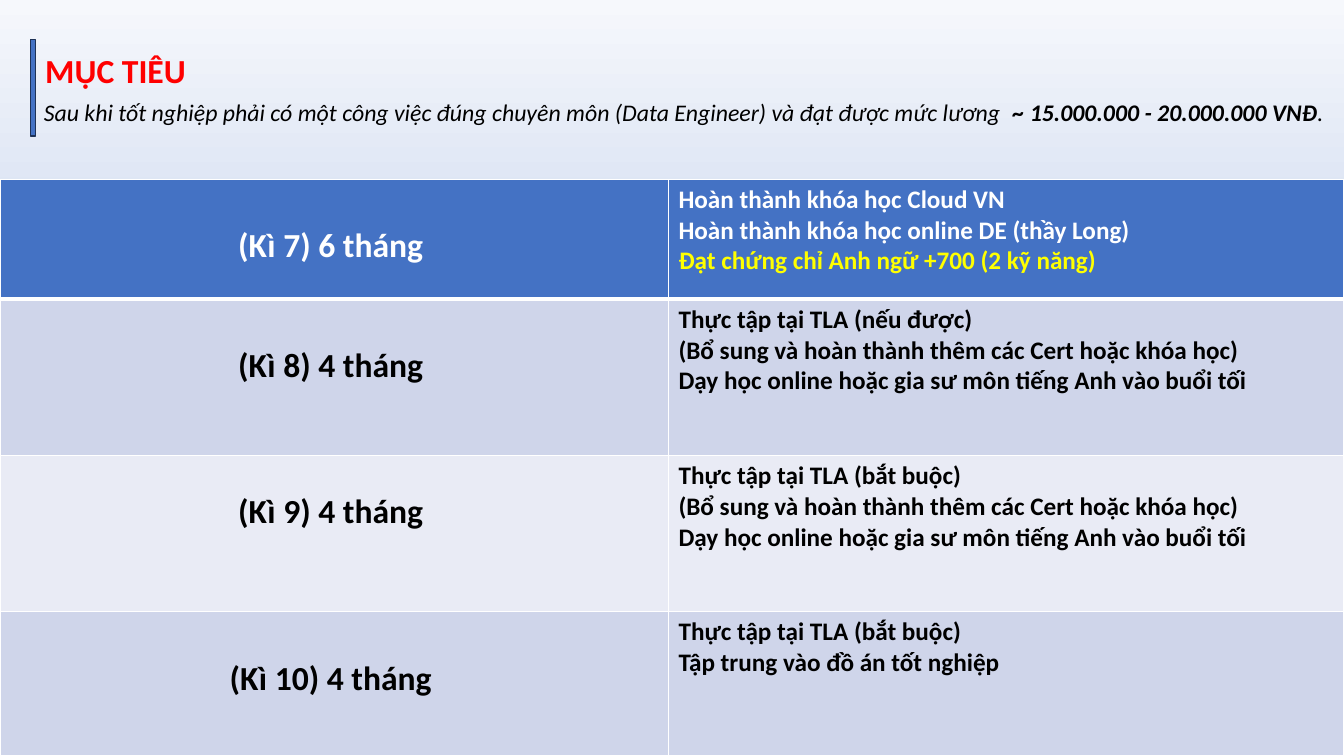
from dataclasses import dataclass

from lxml.etree import SubElement
from pptx import Presentation
from pptx.dml.color import RGBColor
from pptx.enum.shapes import MSO_SHAPE
from pptx.enum.text import PP_ALIGN
from pptx.oxml.ns import qn
from pptx.util import Inches, Pt

TITLE = "MỤC TIÊU"
GOAL = [  # text, bold
    ("Sau khi tốt nghiệp phải có một công việc đúng chuyên môn (Data Engineer) "
     "và đạt được mức lương  ", False),
    ("~ 15.000.000 - 20.000.000 VNĐ", True),
    (".", False),
]
EXTRA_WORK = [
    "(Bổ sung và hoàn thành thêm các Cert hoặc khóa học)",
    "Dạy học online hoặc gia sư môn tiếng Anh vào buổi tối",
]
HIGHLIGHT = "Đạt chứng chỉ Anh ngữ +700 (2 kỹ năng)"
TERMS = [  # term, tasks, row height, space above the term
    ("(Kì 7) 6 tháng", ["Hoàn thành khóa học Cloud VN",
                        "Hoàn thành khóa học online DE (thầy Long)",
                        HIGHLIGHT], 1.19, 0.46),
    ("(Kì 8) 4 tháng", ["Thực tập tại TLA (nếu được)", *EXTRA_WORK], 1.55, 0.46),
    ("(Kì 9) 4 tháng", ["Thực tập tại TLA (bắt buộc)", *EXTRA_WORK], 1.55, 0.36),
    ("(Kì 10) 4 tháng", ["Thực tập tại TLA (bắt buộc)",
                         "Tập trung vào đồ án tốt nghiệp"], 1.43, 0.46),
]
COL_WIDTHS = (6.63, 6.7)
TABLE_TOP = 1.78


@dataclass(frozen=True)
class Theme:
    font: str = "Calibri"
    blue: str = "4472C4"
    bar_line: str = "1E3256"
    bands: tuple = ("E9EBF5", "CFD5EA")
    red: str = "FF0000"
    yellow: str = "FFFF00"
    white: str = "FFFFFF"
    black: str = "000000"
    backdrop: tuple = ((0, "F6F8FC"), (74, "ABC0E4"), (83, "ABC0E4"), (100, "C7D5ED"))
    heading: int = 24
    goal: float = 17
    task: int = 18


T = Theme()


def rgb(value):
    return RGBColor.from_string(value)


def style(p, size, color, bold=None, italic=None):
    f = p.font
    f.name, f.size, f.bold, f.italic = T.font, Pt(size), bold, italic
    f.color.rgb = rgb(color)


def paint_background(s):
    fill = s.background.fill
    fill.gradient()
    fill.gradient_angle = 270
    stops = next(s.element.iter(qn("a:gsLst")))
    for stop in list(stops):
        stops.remove(stop)
    for percent, color in T.backdrop:
        stop = SubElement(stops, qn("a:gs"), pos=str(percent * 1000))
        SubElement(stop, qn("a:srgbClr"), val=color)


def add_text(s, left, top, width, height):
    tf = s.shapes.add_textbox(*map(Inches, (left, top, width, height))).text_frame
    tf.word_wrap = True
    return tf.paragraphs[0]


def set_borders(cell, top, bottom):
    tcPr = cell._tc.get_or_add_tcPr()
    for side, width in zip("LRTB", (1, 1, top, bottom)):
        ln = SubElement(tcPr, qn(f"a:ln{side}"), w=str(Pt(width)))
        SubElement(SubElement(ln, qn("a:solidFill")), qn("a:srgbClr"), val=T.white)


def fill_cell(cell, lines, row, size, align):
    """Write the lines into a cell and give it the look of its row."""
    set_borders(cell, 3 if row == 1 else 1, 3 if row == 0 else 1)
    cell.fill.solid()
    cell.fill.fore_color.rgb = rgb(T.bands[row % 2] if row else T.blue)
    tf = cell.text_frame
    tf.text = "\n".join(lines)
    for p in tf.paragraphs:
        color = T.black if row else T.white
        style(p, size, T.yellow if p.text == HIGHLIGHT else color, bold=True)
        p.alignment = align


def add_plan(s):
    heights = [term[2] for term in TERMS]
    table = s.shapes.add_table(
        len(TERMS), len(COL_WIDTHS), 0, Inches(TABLE_TOP),
        Inches(sum(COL_WIDTHS)), Inches(sum(heights))).table
    for col, width in zip(table.columns, COL_WIDTHS):
        col.width = Inches(width)
    for i, (term, tasks, height, space) in enumerate(TERMS):
        table.rows[i].height = Inches(height)
        name, detail = table.cell(i, 0), table.cell(i, 1)
        fill_cell(name, [term], i, T.heading, PP_ALIGN.CENTER)
        name.margin_top, name.margin_right = Inches(space), Inches(0.17)
        fill_cell(detail, tasks, i, T.task, PP_ALIGN.LEFT)


def main():
    prs = Presentation()
    prs.slide_width, prs.slide_height = Inches(13.33), Inches(7.5)
    s = prs.slides.add_slide(prs.slide_layouts[6])
    paint_background(s)

    p = add_text(s, 0.35, 0.45, 1.99, 0.5)
    p.text = TITLE
    style(p, T.heading, T.red, bold=True)

    p = add_text(s, -0.43, 0.92, 14.42, 0.96)
    p.alignment = PP_ALIGN.CENTER
    style(p, T.goal, T.black, italic=True)
    for text, bold in GOAL:
        r = p.add_run()
        r.text, r.font.bold = text, bold

    add_plan(s)

    bar = s.shapes.add_shape(MSO_SHAPE.RECTANGLE, *map(Inches, (0.3, 0.39, 0.05, 0.96)))
    bar.shadow.inherit = False
    bar.fill.solid()
    bar.fill.fore_color.rgb = rgb(T.blue)
    bar.line.color.rgb = rgb(T.bar_line)
    bar.line.width = Pt(1)

    prs.save("out.pptx")


if __name__ == "__main__":
    main()
